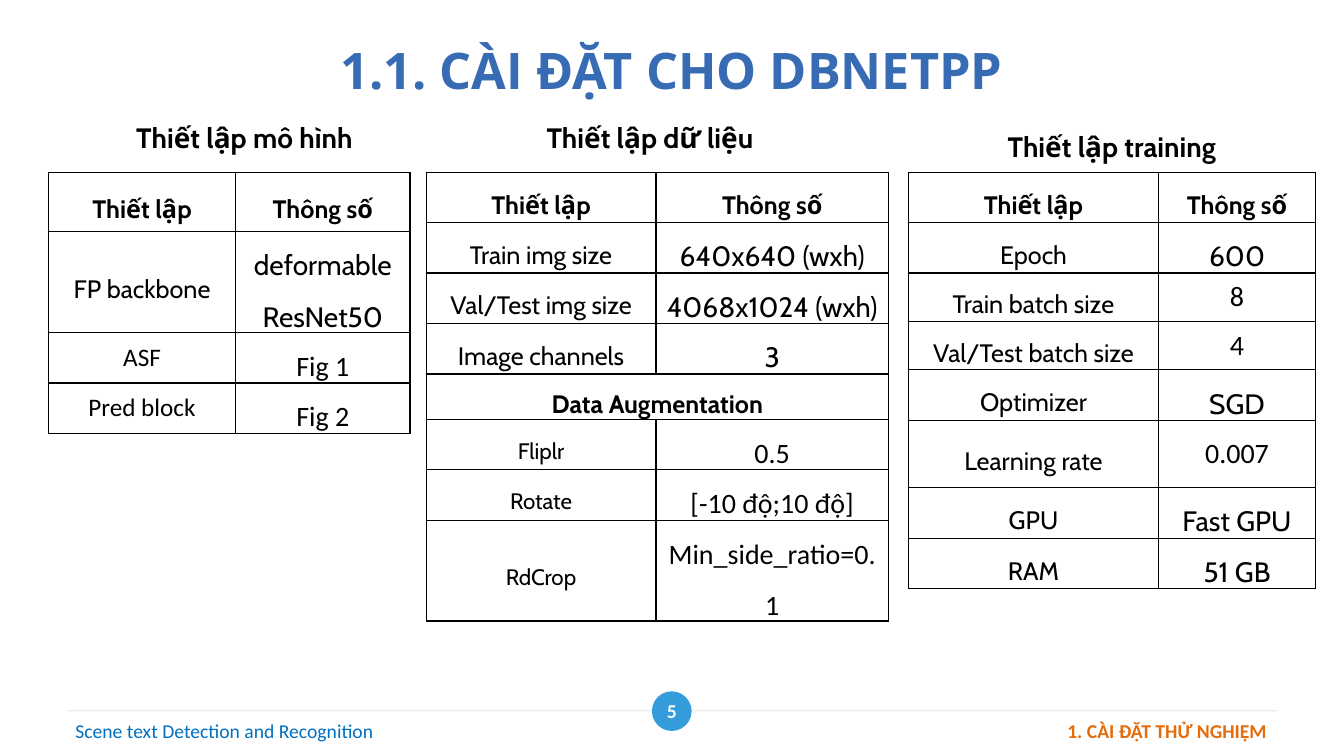
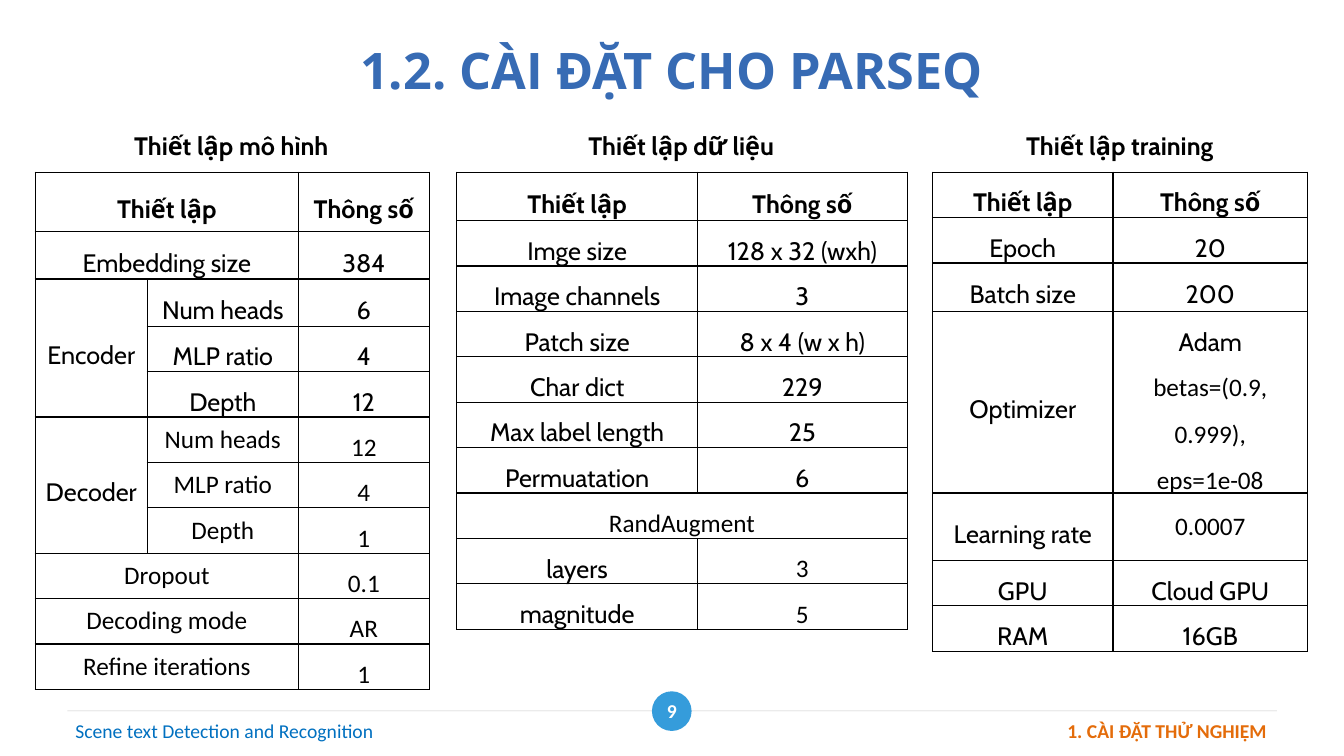
from lxml import etree
from pptx import Presentation
from pptx.dml.color import RGBColor
from pptx.enum.shapes import MSO_CONNECTOR, MSO_SHAPE
from pptx.enum.text import MSO_ANCHOR, PP_ALIGN
from pptx.oxml import parse_xml
from pptx.oxml.ns import nsdecls, qn
from pptx.util import Cm, Pt

BLACK, WHITE, RULE = "000000", "FFFFFF", "D9D9D9"
TITLE_BLUE, BADGE_BLUE, FOOTER_BLUE, ORANGE = "376BB4", "359CDB", "0070C0", "E46C0A"
TABLE_TOP = 4.34

# font, bold, line spacing, fixed size (None: size of the column)
STYLES = {
    "plain": ("Cabin", False, 1.5, None),
    "bold": ("Cabin", True, 1.5, 18),
    "small": ("Cabin", False, 1.5, 16),
    "calibri": ("Calibri", False, 1.5, None),
    "single": ("Calibri", False, 1.0, None),
}

HEADER = [("Thiết lập", "bold"), ("Thông số", "bold")]

# None continues the cell to its left or, in the first column, the cell above
SLIDES = [
    {
        "title": "1.1. CÀI ĐẶT CHO DBNETPP", "number": "5", "value_size": 20, "caption_size": 20,
        "tables": [
            {
                "caption": "Thiết lập mô hình", "center": 6.16, "caption_top": 2.9,
                "left": 1.22, "columns": [4.72, 4.39], "heights": [1.5, 1.19, 1.04, 1.04],
                "rows": [
                    HEADER,
                    ["FP backbone", "deformable ResNet50"],
                    [("ASF", "single"), ("Fig 1", "calibri")],
                    [("Pred block", "single"), ("Fig 2", "calibri")],
                ],
            },
            {
                "caption": "Thiết lập dữ liệu", "center": 16.38, "caption_top": 2.9,
                "left": 10.74, "columns": [5.79, 5.86], "heights": [1.27] + [1.04] * 7,
                "rows": [
                    HEADER,
                    ["Train img size", "640x640 (wxh)"],
                    ["Val/Test img size", "4068x1024 (wxh)"],
                    ["Image channels", "3"],
                    [("Data Augmentation", "bold"), None],
                    [("Fliplr", "small"), ("0.5", "calibri")],
                    [("Rotate", "small"), ("[-10 độ;10 độ]", "calibri")],
                    [("RdCrop", "small"), ("Min_side_ratio=0.1", "calibri")],
                ],
            },
            {
                "caption": "Thiết lập training", "center": 28.02, "caption_top": 3.15,
                "left": 22.89, "columns": [6.31, 3.95],
                "heights": [1.27, 1.02, 1.22, 1.22, 1.02, 1.7, 1.02, 1.02],
                "rows": [
                    HEADER,
                    ["Epoch", "600"],
                    ["Train batch size", ("8", "single")],
                    ["Val/Test batch size", ("4", "single")],
                    ["Optimizer", "SGD"],
                    ["Learning rate", ("0.007", "single")],
                    ["GPU", "Fast GPU"],
                    ["RAM", "51 GB"],
                ],
            },
        ],
    },
    {
        "title": "1.2. CÀI ĐẶT CHO PARSEQ", "number": "9", "value_size": 18, "caption_size": 18,
        "tables": [
            {
                "caption": "Thiết lập mô hình", "center": 5.83, "caption_top": 3.15,
                "left": 0.89, "columns": [2.82, 3.81, 3.3],
                "heights": [1.5, 1.19, 1.19] + [1.04] * 8,
                "rows": [
                    [HEADER[0], None, HEADER[1]],
                    ["Embedding size", None, "384"],
                    ["Encoder", "Num heads", "6"],
                    [None, "MLP ratio", "4"],
                    [None, "Depth", "12"],
                    ["Decoder", ("Num heads", "single"), ("12", "calibri")],
                    [None, ("MLP ratio", "single"), ("4", "calibri")],
                    [None, ("Depth", "single"), ("1", "calibri")],
                    [("Dropout", "single"), None, ("0.1", "calibri")],
                    [("Decoding mode", "single"), None, ("AR", "calibri")],
                    [("Refine iterations", "single"), None, ("1", "calibri")],
                ],
            },
            {
                "caption": "Thiết lập dữ liệu", "center": 17.17, "caption_top": 3.15,
                "left": 11.51, "columns": [6.07, 5.28], "heights": [1.22] + [1.04] * 9,
                "rows": [
                    HEADER,
                    ["Imge size", "128 x 32 (wxh)"],
                    ["Image channels", "3"],
                    ["Patch size", "8 x 4 (w x h)"],
                    ["Char dict", "229"],
                    ["Max label length", "25"],
                    ["Permuatation", "6"],
                    [("RandAugment", "calibri"), None],
                    ["layers", ("3", "calibri")],
                    ["magnitude", ("5", "calibri")],
                ],
            },
            {
                "caption": "Thiết lập training", "center": 28.22, "caption_top": 3.15,
                "left": 23.5, "columns": [4.55, 4.9],
                "heights": [1.02, 1.02, 1.22, 1.02, 1.7, 1.02, 1.02],
                "rows": [
                    HEADER,
                    ["Epoch", "20"],
                    ["Batch size", "200"],
                    ["Optimizer", ["Adam", ("betas=(0.9, 0.999),", "calibri"), ("eps=1e-08", "calibri")]],
                    ["Learning rate", ("0.0007", "single")],
                    ["GPU", "Cloud GPU"],
                    ["RAM", "16GB"],
                ],
            },
        ],
    },
]


def write(paragraph, text, font, size, color, bold=False, align=PP_ALIGN.CENTER):
    """Fill a paragraph with one formatted run."""
    paragraph.text = text
    paragraph.alignment = align
    for run in paragraph.runs:
        run.font.name = font
        run.font.size = Pt(size)
        run.font.bold = bold
        run.font.color.rgb = RGBColor.from_string(color)


def add_text(slide, box, text, font, size, color, bold=False, align=PP_ALIGN.CENTER):
    frame = slide.shapes.add_textbox(*map(Cm, box)).text_frame
    frame.word_wrap = True
    write(frame.paragraphs[0], text, font, size, color, bold, align)
    return frame


presentation = Presentation()
presentation.slide_width, presentation.slide_height = Cm(33.87), Cm(19.05)

for content in SLIDES:
    slide = presentation.slides.add_slide(presentation.slide_layouts[6])

    # Footer
    rule = slide.shapes.add_connector(MSO_CONNECTOR.STRAIGHT, Cm(1.7), Cm(17.91), Cm(32.18), Cm(17.91))
    rule.line.color.rgb = RGBColor.from_string(RULE)
    rule.line.width = Pt(0.75)
    rule_color = next(rule._element.spPr.iter(qn("a:srgbClr")))
    etree.SubElement(rule_color, qn("a:alpha"), val="50000")
    etree.SubElement(rule._element.spPr, qn("a:effectLst"))

    badge = slide.shapes.add_shape(MSO_SHAPE.OVAL, Cm(16.43), Cm(17.42), Cm(1), Cm(1))
    badge.shadow.inherit = False
    badge.fill.solid()
    badge.fill.fore_color.rgb = RGBColor.from_string(BADGE_BLUE)
    badge.line.fill.background()
    frame = badge.text_frame
    frame.margin_left = frame.margin_right = frame.margin_top = frame.margin_bottom = 0
    frame.vertical_anchor = MSO_ANCHOR.MIDDLE
    frame.word_wrap = False
    write(frame.paragraphs[0], content["number"], "Calibri", 14, WHITE, bold=True)

    add_text(slide, (17.65, 17.98, 14.53, 0.86), "1. CÀI ĐẶT THỬ NGHIỆM",
             "Calibri", 14, ORANGE, bold=True, align=PP_ALIGN.RIGHT)
    add_text(slide, (1.65, 17.98, 15.06, 0.86), "Scene text Detection and Recognition",
             "Calibri", 14, FOOTER_BLUE, align=PP_ALIGN.LEFT)

    title = add_text(slide, (3.05, 0.76, 27.76, 1.98), content["title"],
                     "Open Sans", 36, TITLE_BLUE, bold=True)
    title.vertical_anchor = MSO_ANCHOR.MIDDLE

    for item in content["tables"]:
        caption_box = (item["center"] - 4.5, item["caption_top"], 9, 1.1)
        add_text(slide, caption_box, item["caption"], "Cabin", content["caption_size"], BLACK, bold=True)

        rows, widths, heights = item["rows"], item["columns"], item["heights"]
        table = slide.shapes.add_table(
            len(rows), len(widths), Cm(item["left"]), Cm(TABLE_TOP), Cm(sum(widths)), Cm(sum(heights))
        ).table
        table.first_row = table.horz_banding = False
        for column, width in zip(table.columns, widths):
            column.width = Cm(width)
        for row, height in zip(table.rows, heights):
            row.height = Cm(height)

        for row_index, row in enumerate(rows):
            for column_index, entry in enumerate(row):
                cell = table.cell(row_index, column_index)
                cell.fill.background()
                cell.margin_left = cell.margin_right = Cm(0.17)
                cell.margin_top = cell.margin_bottom = 0
                cell.vertical_anchor = MSO_ANCHOR.MIDDLE
                for position, side in enumerate(("lnL", "lnR", "lnT", "lnB")):
                    cell._tc.get_or_add_tcPr().insert(position, parse_xml(
                        f'<a:{side} {nsdecls("a")} w="12700"><a:solidFill>'
                        f'<a:srgbClr val="{BLACK}"/></a:solidFill></a:{side}>'))

                if entry is None:
                    if column_index:
                        table.cell(row_index, column_index - 1).merge(cell)
                    continue
                if column_index == 0:
                    last_row = row_index
                    while last_row + 1 < len(rows) and rows[last_row + 1][0] is None:
                        last_row += 1
                    if last_row > row_index:
                        cell.merge(table.cell(last_row, 0))

                is_value = column_index == len(widths) - 1
                column_size = content["value_size"] if is_value else 18
                for index, part in enumerate(entry if isinstance(entry, list) else [entry]):
                    text, style = part if isinstance(part, tuple) else (part, "plain")
                    font, bold, spacing, size = STYLES[style]
                    frame = cell.text_frame
                    paragraph = frame.add_paragraph() if index else frame.paragraphs[0]
                    write(paragraph, text, font, size or column_size, BLACK, bold)
                    paragraph.line_spacing = spacing

presentation.save("out.pptx")
